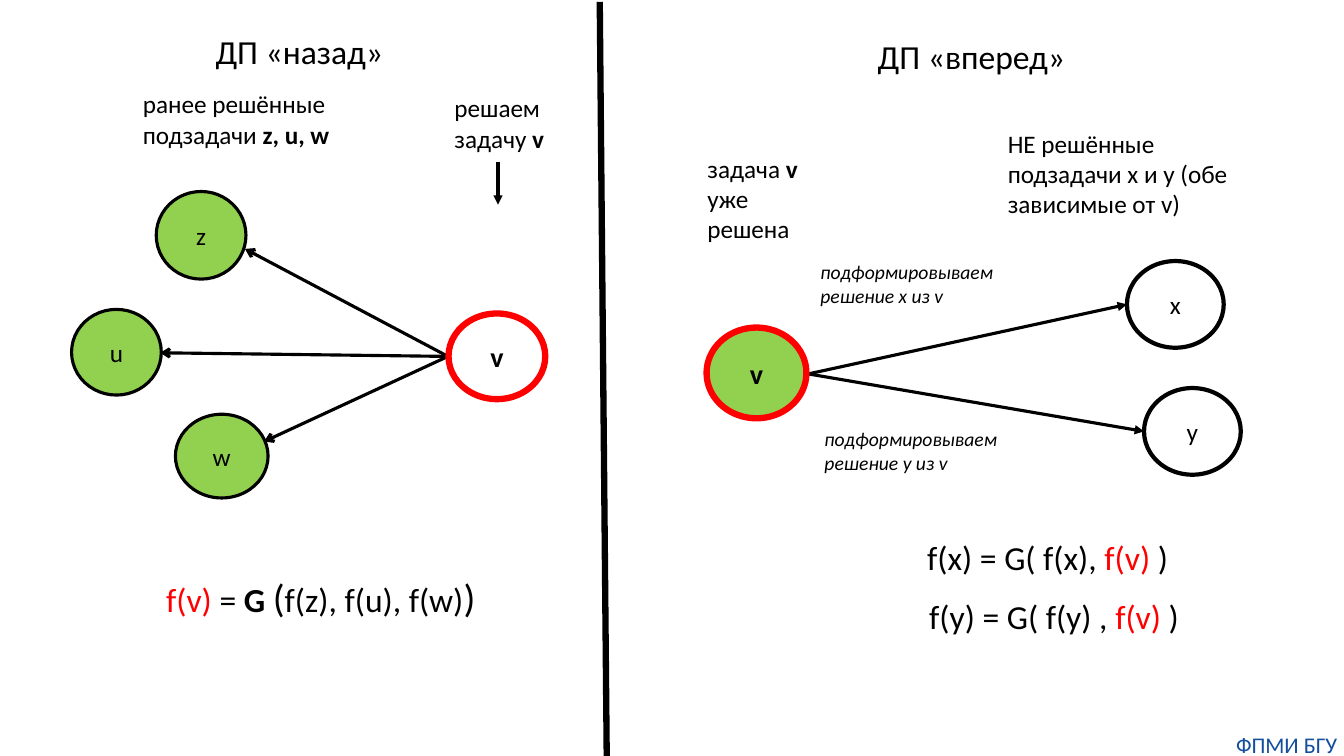
import pptx
import pptx.dml.color
import pptx.enum.shapes
import pptx.enum.text
import pptx.oxml
import pptx.oxml.ns
import pptx.util

BLACK, RED, GREEN, BLUE = "000000", "FF0000", "92D050", "144E9D"


def color(hex_value):
    """Turn a hex string into a colour."""
    return pptx.dml.color.RGBColor.from_string(hex_value)


def points(*values):
    """Turn numbers of points into lengths."""
    return [pptx.util.Pt(value) for value in values]


def add_run(paragraph, text, size=18, ink=BLACK, bold=False, italic=False):
    """Append formatted text to a paragraph."""
    run = paragraph.add_run()
    run.text = text
    run.font.name = "Calibri"
    run.font.size = pptx.util.Pt(size)
    run.font.color.rgb = color(ink)
    run.font.bold = bold
    run.font.italic = italic


def add_label(slide, box, *paragraphs, wrap=True, **style):
    """Add a text box; each paragraph lists (text, changes to the style)."""
    shape = slide.shapes.add_textbox(*points(*box))
    frame = shape.text_frame
    frame.word_wrap = wrap
    frame.auto_size = pptx.enum.text.MSO_AUTO_SIZE.SHAPE_TO_FIT_TEXT
    for index, runs in enumerate(paragraphs):
        paragraph = frame.add_paragraph() if index else frame.paragraphs[0]
        for text, changes in runs:
            add_run(paragraph, text, **{**style, **changes})
    return shape


def add_node(slide, box, name, fill=None, outline=BLACK, width=2.25, **style):
    """Add a graph node with its name in the middle."""
    shape = slide.shapes.add_shape(pptx.enum.shapes.MSO_SHAPE.OVAL, *points(*box))
    shape.shadow.inherit = False
    if fill:
        shape.fill.solid()
        shape.fill.fore_color.rgb = color(fill)
    else:
        shape.fill.background()
    shape.line.color.rgb = color(outline)
    shape.line.width = pptx.util.Pt(width)
    shape.text_frame.vertical_anchor = pptx.enum.text.MSO_ANCHOR.MIDDLE
    paragraph = shape.text_frame.paragraphs[0]
    paragraph.alignment = pptx.enum.text.PP_ALIGN.CENTER
    add_run(paragraph, name, **style)


def add_line(slide, start, end, width=2.25, arrowhead=None):
    """Add a straight line, with an arrowhead at its end if one is named."""
    connector = slide.shapes.add_connector(
        pptx.enum.shapes.MSO_CONNECTOR.STRAIGHT, *points(*start, *end))
    connector.line.color.rgb = color(BLACK)
    connector.line.width = pptx.util.Pt(width)
    if arrowhead:
        tail = pptx.oxml.parse_xml(
            f'<a:tailEnd {pptx.oxml.ns.nsdecls("a")} type="{arrowhead}"/>')
        connector.line._get_or_add_ln().append(tail)
    effects = pptx.oxml.parse_xml(f'<a:effectLst {pptx.oxml.ns.nsdecls("a")}/>')
    connector._element.spPr.append(effects)


def add_backward_side(slide):
    """Draw the backward approach on the left half."""
    add_label(slide, (146.9, 18.7, 139, 36), [("ДП «назад»", {})], wrap=False, size=24)
    add_label(slide, (95, 59.8, 158.4, 51.1),
              [("ранее решённые подзадачи ", {}), ("z, u, w", {"bold": True})])
    add_label(slide, (317.5, 62.6, 92.2, 51.8),
              [("решаем задачу", {}), (" v", {"bold": True})])
    add_line(slide, (355.7, 115.9), (355.7, 146.2), arrowhead="triangle")
    solved = [("z", (111.6, 136.8, 64.1, 62.6), (175, 177.8)),
              ("u", (51.1, 221, 64.1, 61.2), (114.5, 252)),
              ("w", (125.3, 295.9, 66.2, 59.8), (188.6, 315.4))]
    for name, box, contact in solved:
        add_node(slide, box, name, fill=GREEN)
        add_line(slide, (320, 254.6), contact, arrowhead="arrow")
    add_node(slide, (320.4, 223.9, 69.1, 61.2), "v",
             outline=RED, width=4.5, size=20, bold=True)
    add_label(slide, (111.6, 406.1, 298.1, 41),
              [("f(v) ", {"ink": RED}), ("= ", {}), ("G ", {"bold": True}),
               ("(", {"size": 28}), ("f(z), f(u), f(w)", {}), (")", {"size": 28})],
              size=24)


def add_forward_side(slide):
    """Draw the forward approach on the right half."""
    add_label(slide, (619.9, 22.3, 154.1, 36), [("ДП «вперед»", {})], wrap=False, size=24)
    add_label(slide, (498.2, 105.8, 80.6, 72.7),
              [("задача ", {}), ("v ", {"bold": True}), ("уже решена", {})])
    add_label(slide, (712.8, 87.8, 213.1, 72.7),
              [("НЕ решённые ", {})],
              [("подзадачи x и y (обе зависимые от v)", {})])
    dependent = [("x", (805, 186.5), (578.9, 182.2), (655.2, 380.2, 188.6, 36), "f(x), "),
                 ("y", (817.2, 277.2), (581.8, 301.7), (656.6, 421.9, 195.1, 36), "f(y) , ")]
    width, height = 69.1, 61.9
    for name, (left, top), note, formula, argument in dependent:
        add_line(slide, (577.4, 267.1), (left, top + height / 2), arrowhead="triangle")
        add_node(slide, (left, top, width, height), name, width=3)
        add_label(slide, (*note, 142, 41), [(f"подформировываем решение {name} из v", {})],
                  size=14, italic=True)
        add_label(slide, formula,
                  [(f"f({name}) = G( {argument}", {}), ("f(v)", {"ink": RED}), (" )", {})],
                  wrap=False, size=24)
    add_node(slide, (504.7, 234, 71.3, 64.8), "v", fill=GREEN,
             outline=RED, width=4.5, size=20, bold=True)


def add_footer(slide):
    """Add the faculty label in the lower right corner."""
    shape = add_label(slide, (878.4, 522, 81.4, 19.4), [("ФПМИ БГУ", {})], size=16, ink=BLUE)
    frame = shape.text_frame
    frame.margin_left = frame.margin_top = frame.margin_right = frame.margin_bottom = 0
    frame.paragraphs[0].alignment = pptx.enum.text.PP_ALIGN.CENTER


def main():
    """Build the slide and save it."""
    presentation = pptx.Presentation()
    presentation.slide_width, presentation.slide_height = points(960, 540)
    slide = presentation.slides.add_slide(presentation.slide_layouts[6])
    add_line(slide, (428.4, 1.4), (433.4, 541.4), width=4.5)
    add_backward_side(slide)
    add_forward_side(slide)
    add_footer(slide)
    presentation.save("out.pptx")


main()
